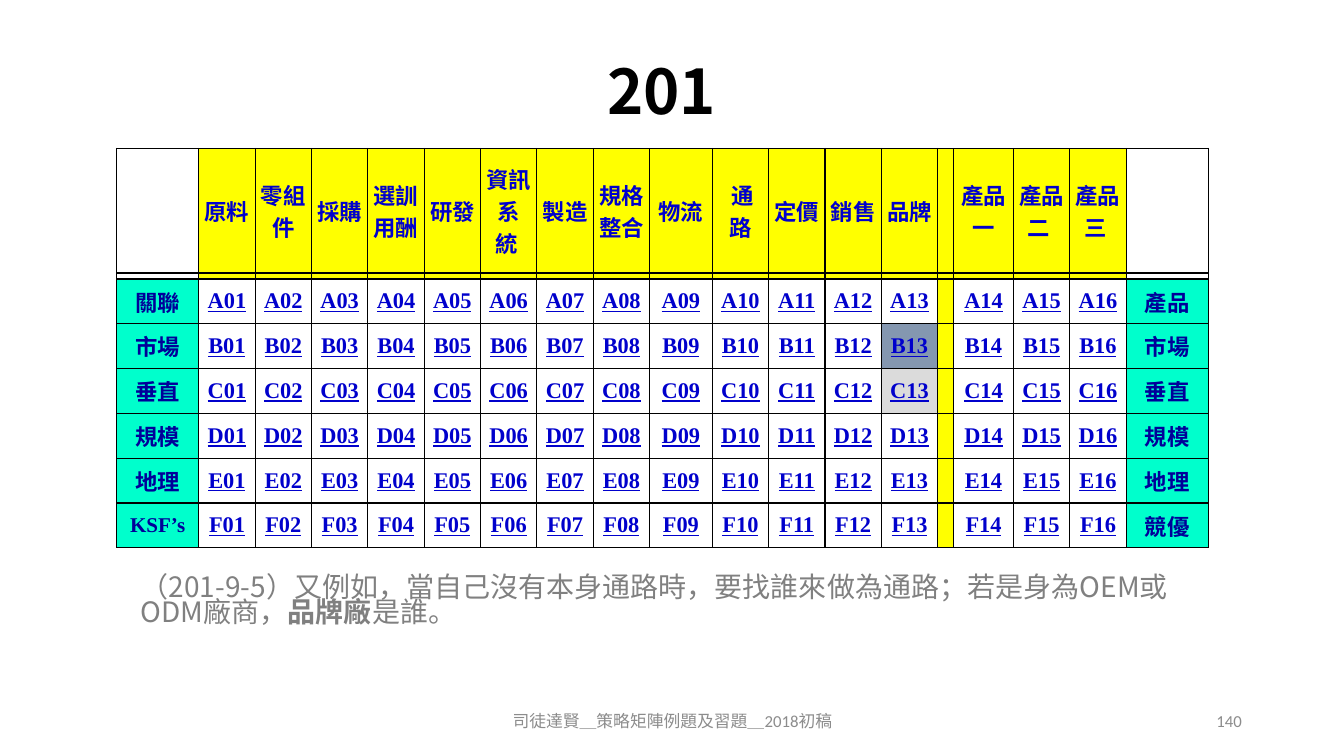
"""Build the strategy matrix slide 201 with its table, example and footer."""
from dataclasses import dataclass

from lxml import etree
from pptx import Presentation
from pptx.dml.color import RGBColor
from pptx.enum.text import MSO_ANCHOR, PP_ALIGN
from pptx.oxml.ns import qn
from pptx.util import Cm, Pt

LEFT, MID, RIGHT = PP_ALIGN.LEFT, PP_ALIGN.CENTER, PP_ALIGN.RIGHT
TOP, CENTER = MSO_ANCHOR.TOP, MSO_ANCHOR.MIDDLE
GAP = chr(160)


@dataclass(frozen=True)
class Theme:
    black: str = "000000"
    gray: str = "808080"
    pale: str = "8C8C8C"
    blue: str = "0000CC"
    navy: str = "000099"
    yellow: str = "FFFF00"
    mint: str = "00FFCC"
    steel: str = "8497B0"
    silver: str = "DBDBDB"
    sans: str = "Calibri"
    serif: str = "Times New Roman"
    han: str = "Noto Sans CJK SC"
    title: int = 44
    body: int = 20
    grid: int = 16
    label: int = 15
    foot: int = 12
    tiny: int = 1


THEME = Theme()


def write(para, text, face, size, color, **style):
    run = para.add_run()
    run.text = text
    font = run.font
    font.color.rgb = RGBColor.from_string(color)
    style = {"name": face, "size": Pt(size), **style}
    for key, value in style.items():
        setattr(font, key, value)
    east = etree.SubElement(run._r.get_or_add_rPr(), qn("a:ea"))
    east.set("typeface", THEME.han)


def outline(cell):
    props = cell._tc.get_or_add_tcPr()
    for spot, side in enumerate(("lnL", "lnR", "lnT", "lnB")):
        line = etree.Element(qn(f"a:{side}"), w=str(Pt(1)))
        fill = etree.SubElement(line, qn("a:solidFill"))
        etree.SubElement(fill, qn("a:srgbClr"), val=THEME.black)
        props.insert(spot, line)


deck = Presentation()
deck.slide_width, deck.slide_height = Cm(33.87), Cm(19.05)
slide = deck.slides.add_slide(deck.slide_layouts[6])

heads = ["原料", "零組件", "採購", "選訓用酬", "研發", f"資訊系統{GAP}", "製造",
         "規格整合", "物流", f"{GAP}通路", "定價", "銷售", "品牌", "",
         "產品一", f"產品二{GAP}", f"產品三{GAP}"]
sides = [("關聯", "產品"), ("市場", "市場"), ("垂直", "垂直"),
         ("規模", "規模"), ("地理", "地理"), ("KSF’s", "競優")]
marks = {"B13": THEME.steel, "C13": THEME.silver}

rows = [["", *heads, ""], [""] * 19]
for letter, (first, last) in zip("ABCDEF", sides):
    codes = [f"{letter}{num:02}" for num in range(1, 17)]
    rows.append([first, *codes[:13], "", *codes[13:], last])

widths = [2.07] + [1.42] * 8 + [1.58] + [1.42] * 4 + [0.4, 1.51] + [1.42] * 2 + [2.07]
heights = [3.14, 0.15] + [1.13] * 6
frame = slide.shapes.add_table(len(rows), len(widths), Cm(2.94), Cm(3.74),
                               Cm(sum(widths)), Cm(sum(heights)))
table = frame.table
table.first_row = table.horz_banding = False
for column, width in zip(table.columns, widths):
    column.width = Cm(width)
for row, height in zip(table.rows, heights):
    row.height = Cm(height)

layout = {"margin_left": Cm(0.13), "margin_right": Cm(0.13), "margin_top": 0,
          "margin_bottom": 0, "vertical_anchor": CENTER}
for y, texts in enumerate(rows):
    for x, text in enumerate(texts):
        cell = table.cell(y, x)
        for key, value in layout.items():
            setattr(cell, key, value)
        edge = x in (0, len(widths) - 1)
        shade = marks.get(text)
        if edge and y > 1:
            shade = THEME.mint
        elif not edge and (y < 2 or not text):
            shade = THEME.yellow
        if shade:
            cell.fill.solid()
            cell.fill.fore_color.rgb = RGBColor.from_string(shade)
        else:
            cell.fill.background()
        outline(cell)
        para = cell.text_frame.paragraphs[0]
        para.alignment = MID
        if not text:
            end = etree.SubElement(para._p, qn("a:endParaRPr"))
            end.set("sz", str(THEME.tiny * 100))
            continue
        code = y > 1 and not edge
        latin = code or text == "KSF’s"
        write(para, text, THEME.serif if latin else THEME.sans,
              THEME.label if text == "KSF’s" else THEME.grid,
              THEME.navy if edge else THEME.blue, bold=True, underline=code)

notes = [
    ((2.34, 1.02, 28.68, 2.72), MID, CENTER, 0.9, THEME.han, THEME.title,
     THEME.black, [("201", True)]),
    ((3.3, 14.4, 27.1, 1.8), LEFT, TOP, 0.77, THEME.han, THEME.body, THEME.gray,
     [("（201-9-5）又例如，當自己沒有本身通路時，要找誰來做為通路；若是身為OEM或ODM廠商，", False),
      ("品牌廠", True), ("是誰。", False)]),
    ((11.23, 17.65, 11.43, 1.02), MID, CENTER, 1.0, THEME.sans, THEME.foot,
     THEME.pale, [("司徒達賢＿策略矩陣例題及習題＿2018初稿", False)]),
    ((23.93, 17.65, 7.62, 1.02), RIGHT, CENTER, 1.0, THEME.sans, THEME.foot,
     THEME.pale, [("140", False)]),
]
for place, align, anchor, space, face, size, color, parts in notes:
    box = slide.shapes.add_textbox(*map(Cm, place)).text_frame
    box.word_wrap = True
    box.vertical_anchor = anchor
    para = box.paragraphs[0]
    para.alignment, para.line_spacing = align, space
    for text, bold in parts:
        write(para, text, face, size, color, bold=bold)

deck.save("out.pptx")
